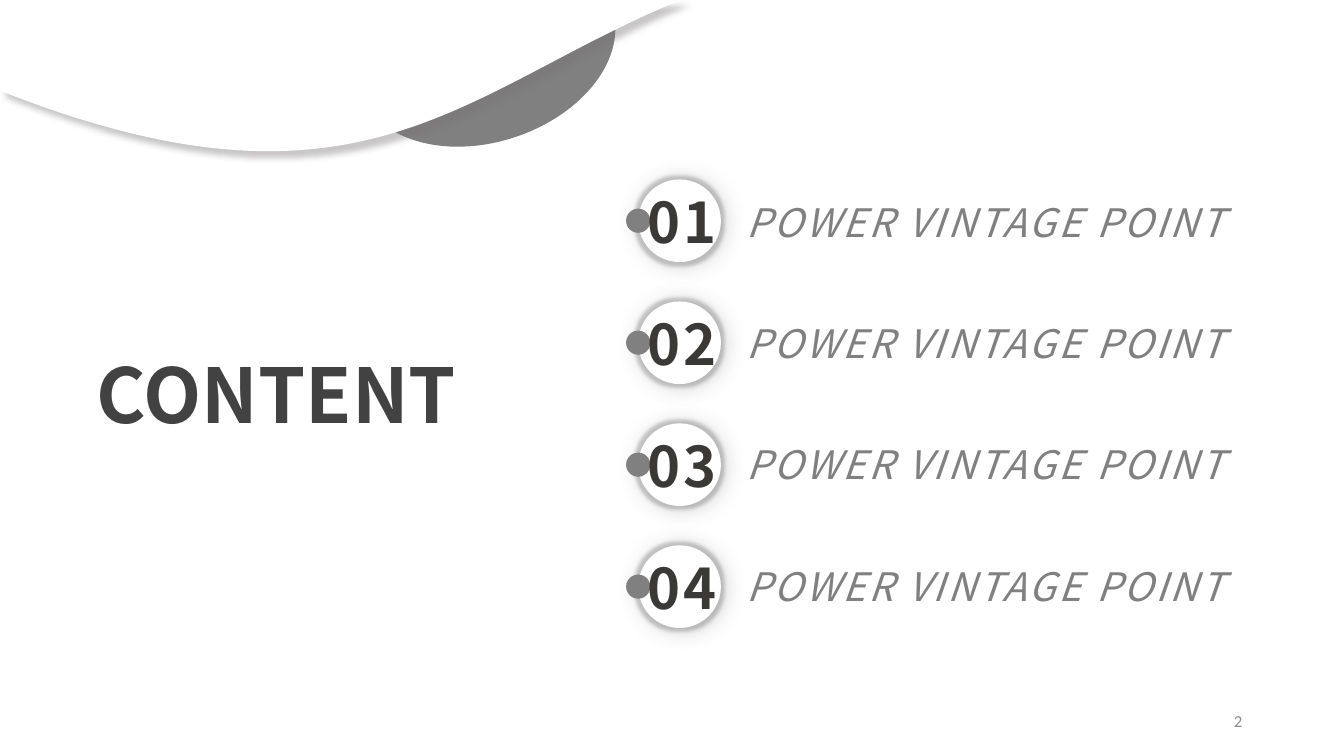
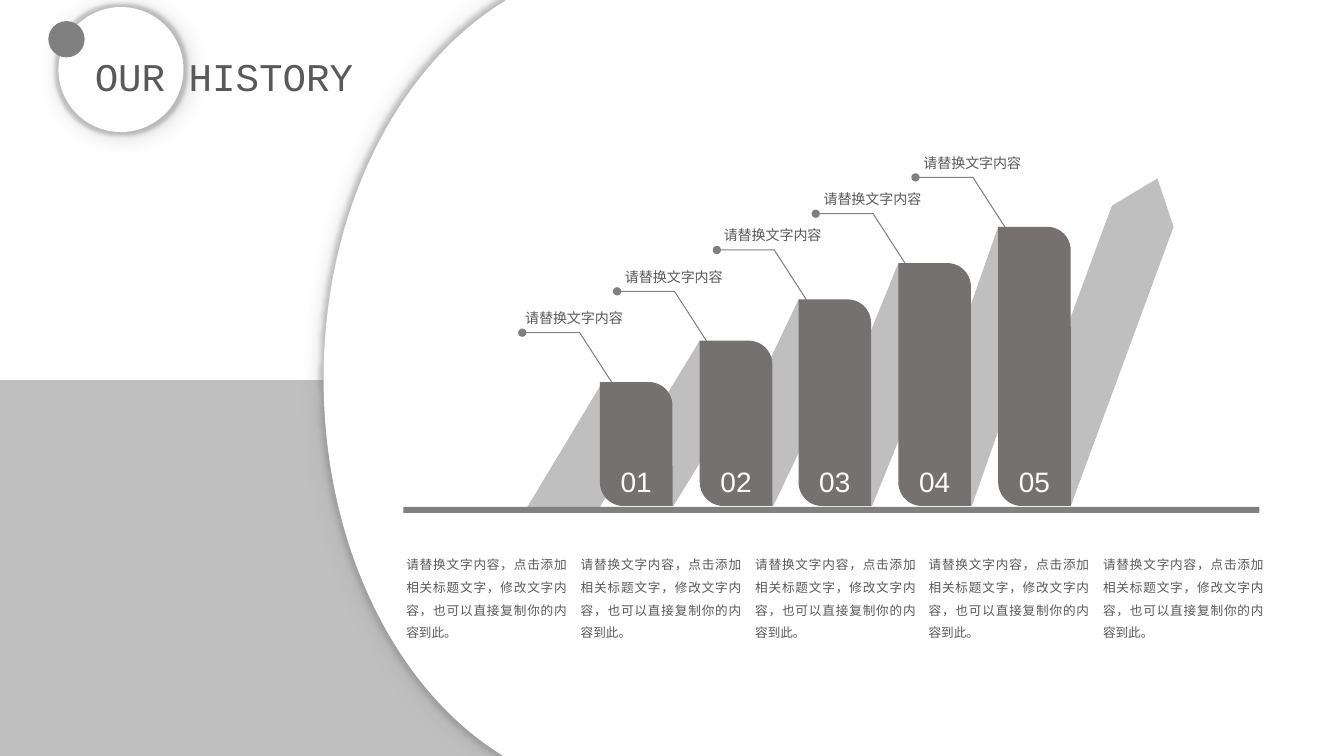
from dataclasses import dataclass

from lxml.etree import SubElement as sub
from pptx import Presentation as Deck
from pptx.dml.color import RGBColor as Rgb
from pptx.enum.shapes import MSO_SHAPE as Kind
from pptx.enum.text import MSO_ANCHOR as Anchor
from pptx.enum.text import MSO_AUTO_SIZE as Fit
from pptx.enum.text import PP_ALIGN as Align
from pptx.oxml.ns import qn
from pptx.util import Pt

PX = 9144
CJK = "Noto Sans CJK SC"


@dataclass(frozen=True)
class Type:
    name: str
    size: int
    tint: str
    bold: bool = False
    italic: bool = False
    space: int = 0


@dataclass(frozen=True)
class Glow:
    tint: str
    alpha: int
    blur: int
    dist: int
    angle: int
    ring: int = 0


@dataclass(frozen=True)
class Theme:
    white: str = "FFFFFF"
    gray: str = "808080"
    pale: str = "BFBFBF"
    dark: str = "767171"
    halo: Glow = Glow("808080", 40, 16, 2, 30, ring=5)
    drop: Glow = Glow("767171", 40, 4, 6, 45)
    cover: Type = Type(CJK, 54, "424242", bold=True)
    title: Type = Type("Courier New", 28, "595959")
    item: Type = Type(CJK, 28, "808080", italic=True, space=2)
    number: Type = Type(CJK, 40, "3B3838", bold=True, space=2)
    page: Type = Type("Calibri", 12, "8C8C8C")
    label: Type = Type("Calibri", 10, "595959")
    bar: Type = Type("Arial", 20, "FFFFFF")
    note: Type = Type("Arial", 9, "595959")


THEME = Theme()

BLOB = [(389, 0), (604, 0), (607, 8), (623, 56, 580, 113, 511, 136),
        (442, 159, 373, 139, 357, 91), (347, 61, 360, 27, 388, 1)]
WAVE = [(0, 0), (676, 0), (661, 6), (454, 95, 352, 229, 0, 90)]
PANEL = [(501, -2), (1335, -2), (1335, 750), (499, 750), (493, 746),
         (391, 680, 321, 539, 321, 376), (321, 213, 391, 73, 493, 6),
         (501, 1)]
FIRST = [(597, 380), (662, 392), (595, 503), (523, 503)]
ARROW = [(1148, 177), (1164, 225), (1062, 502), (996, 494),
         (1095, 225), (1103, 204)]

ITEMS = ["POWER VINTAGE POINT"] * 4
TOPS = [379, 338, 297, 261, 225]
LEADS = [518, 612, 711, 809, 908]
FOOT = 502
WIDE = 72
LABEL = "请替换文字内容"
NOTE = "请替换文字内容，点击添加相关标题文字，修改文字内容，也可以直接复制你的内容到此。"


def style(obj, vals):
    for key, val in vals.items():
        setattr(obj, key, val)


def emu(*vals):
    return [round(val * PX) for val in vals]


def spread(first, last, count):
    return [round(first + (last - first) * i / (count - 1))
            for i in range(count)]


def tone(node, glow):
    color = sub(node, qn("a:srgbClr"), val=glow.tint)
    sub(color, qn("a:alpha"), val=str(glow.alpha * 1000))


def shade(shape, glow):
    root = shape.element.spPr.find(qn("a:effectLst"))
    if glow.ring:
        tone(sub(root, qn("a:glow"), rad=str(Pt(glow.ring))), glow)
    tone(sub(root, qn("a:outerShdw"), blurRad=str(Pt(glow.blur)),
             dist=str(Pt(glow.dist)), dir=str(glow.angle * 60000),
             algn="ctr", rotWithShape="0"), glow)


def paint(shape, tint, glow=None):
    shape.shadow.inherit = False
    shape.fill.solid()
    shape.fill.fore_color.rgb = Rgb.from_string(tint)
    shape.line.fill.background()
    if glow:
        shade(shape, glow)
    return shape


def form(shapes, kind, box, tint, glow=None):
    return paint(shapes.add_shape(kind, *emu(*box)), tint, glow)


def bend(route, shape):
    trail = next(shape.element.iter(qn("a:path")))
    nodes = iter(trail.findall(qn("a:lnTo")))
    for leg in route[1:]:
        group = [next(nodes) for _ in leg[::2]]
        if len(group) == 3:
            curve = sub(trail, qn("a:cubicBezTo"))
            group[0].addprevious(curve)
            for node in group:
                curve.append(node[0])
                trail.remove(node)
    return trail


def outline(shapes, route, close=True, height=None):
    spots = [tuple(emu(*spot)) for leg in route
             for spot in zip(leg[::2], leg[1::2])]
    pen = shapes.build_freeform(*spots[0])
    pen.add_line_segments(spots[1:], close=close)
    shape = pen.convert_to_shape()
    trail = bend(route, shape)
    if height:
        shape.height = height * PX
        trail.set("h", str(height * PX))
    return shape


def area(shapes, route, tint, glow=None, height=None):
    return paint(outline(shapes, route, height=height), tint, glow)


def lead(shapes, x, y):
    shape = outline(shapes, [(x + 95, y + 59), (x + 57, y), (x, y)], False)
    shape.shadow.inherit = False
    shape.fill.background()
    shape.line.width = Pt(0.75)
    shape.line.color.rgb = Rgb.from_string(THEME.gray)
    sub(shape.line._get_or_add_ln(), qn("a:tailEnd"), type="oval")


def write(shape, lines, look, align=Align.LEFT, anchor=Anchor.TOP,
          pad=(0, 0), wrap=True, para=None):
    frame = shape.text_frame
    across, down = emu(*pad)
    style(frame, dict(word_wrap=wrap, auto_size=Fit.NONE,
                      vertical_anchor=anchor,
                      margin_left=across, margin_right=across,
                      margin_top=down, margin_bottom=down))
    frame.text = "\n".join(lines)
    for part in frame.paragraphs:
        style(part, dict(alignment=align, **(para or {})))
        run = part.runs[0]
        style(run.font, dict(name=look.name, size=Pt(look.size),
                             bold=look.bold, italic=look.italic))
        run.font.color.rgb = Rgb.from_string(look.tint)
        props = run._r.get_or_add_rPr()
        props.set("spc", str(look.space * 100))
        sub(props, qn("a:ea"), typeface=CJK)
    return frame


def text(shapes, box, words, look, **opts):
    write(shapes.add_textbox(*emu(*box)), [words], look, **opts)


def place(holder, box):
    style(holder, dict(zip(("left", "top", "width", "height"), emu(*box))))
    holder.element.getparent().append(holder.element)
    return holder


def head(slide, box, words, look, **opts):
    write(place(slide.shapes.title, box), [words], look, **opts)


def items(slide, box, lines):
    frame = write(place(slide.placeholders[1], box), lines, THEME.item,
                  Align.CENTER, Anchor.MIDDLE)
    for rank, part in enumerate(frame.paragraphs):
        part.space_before = Pt(53 if rank else 0)
        props = part._p.get_or_add_pPr()
        for key in ("marL", "indent"):
            props.set(key, "0")
        sub(props, qn("a:buNone"))


def badge(shapes, disc, dot, words=None):
    group = shapes.add_group_shape().shapes
    form(group, Kind.OVAL, disc, THEME.white, THEME.halo)
    form(group, Kind.OVAL, dot, THEME.gray)
    if words:
        x, y = disc[:2]
        text(group, (x - 14, y + 8, 115, 67), words, THEME.number,
             align=Align.CENTER, anchor=Anchor.MIDDLE)


def bar(shapes, x, top, words):
    shape = form(shapes, Kind.ROUND_2_DIAG_RECTANGLE,
                 (x, top, WIDE, FOOT - top), THEME.dark)
    shape.adjustments[0] = 0
    shape.adjustments[1] = 0.326
    write(shape, [words], THEME.bar, Align.CENTER, Anchor.BOTTOM, (3, 1))


def ribbon(shapes, foot, x, top):
    area(shapes, [(foot - 67, 491), (x, top), (x + 67, top + 12),
                  (foot, FOOT)], THEME.pale)


def content(deck):
    slide = deck.slides.add_slide(deck.slide_layouts[1])
    shapes = slide.shapes
    area(shapes, BLOB, THEME.gray)
    text(shapes, (942, 695, 300, 40), "2", THEME.page, align=Align.RIGHT,
         anchor=Anchor.MIDDLE, pad=(10, 5))
    area(shapes, WAVE, THEME.white, THEME.drop, height=150)
    head(slide, (86, 340, 399, 101), "CONTENT", THEME.cover,
         pad=(10, 5), wrap=False)
    for rank, y in enumerate(spread(178, 541, len(ITEMS)), 1):
        badge(shapes, (633, y, 82, 82), (621, y + 29, 24, 24), f"{rank:02}")
    items(slide, (663, 178, 629, 445), ITEMS)


def history(deck):
    slide = deck.slides.add_slide(deck.slide_layouts[5])
    shapes = slide.shapes
    form(shapes, Kind.RECTANGLE, (0, -2, 1335, 752), THEME.pale)
    form(shapes, Kind.RECTANGLE, (0, -2, 556, 379), THEME.white)
    area(shapes, PANEL, THEME.white, THEME.halo)
    lefts = spread(595, 990, len(TOPS))
    for left, top, x in zip(lefts, TOPS, LEADS):
        lead(shapes, x, top - 49)
        text(shapes, (left - 84, top - 77, 159, 31), LABEL, THEME.label,
             pad=(10, 5))
    area(shapes, FIRST, THEME.pale)
    area(shapes, ARROW, THEME.pale)
    for last, left, top in zip(lefts, lefts[1:], TOPS[1:]):
        ribbon(shapes, last + WIDE + 1, left, top)
    for rank, (left, top) in enumerate(zip(lefts, TOPS), 1):
        bar(shapes, left, top, f"{rank:02}")
    form(shapes, Kind.RECTANGLE, (400, 503, 849, 6), THEME.gray)
    for x in spread(396, 1087, len(TOPS)):
        text(shapes, (x, 542, 173, 98), NOTE, THEME.note,
             align=Align.JUSTIFY, pad=(7, 3), para=dict(line_spacing=1.5))
    badge(shapes, (58, 7, 124, 124), (48, 21, 36, 36))
    head(slide, (94, 52, 311, 47), "OUR HISTORY", THEME.title,
         anchor=Anchor.MIDDLE)


def main():
    deck = Deck()
    style(deck, dict(zip(("slide_width", "slide_height"), emu(1333, 750))))
    content(deck)
    history(deck)
    deck.save("out.pptx")


if __name__ == "__main__":
    main()
